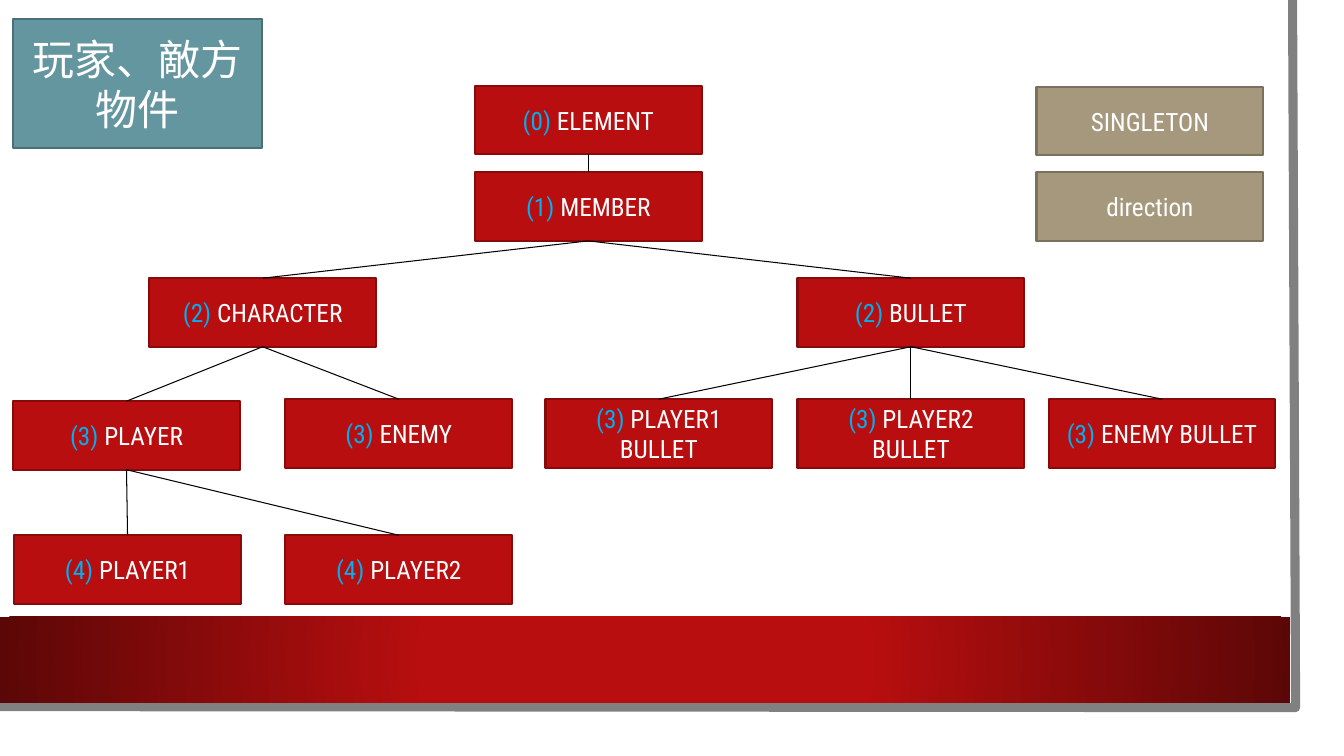
from lxml import etree
from pptx import Presentation
from pptx.dml.color import RGBColor
from pptx.enum.shapes import MSO_CONNECTOR, MSO_SHAPE
from pptx.enum.text import MSO_ANCHOR, MSO_AUTO_SIZE, PP_ALIGN
from pptx.oxml import parse_xml
from pptx.oxml.ns import qn
from pptx.util import Inches, Pt

RECTANGLE = MSO_SHAPE.RECTANGLE
STRAIGHT = MSO_CONNECTOR.STRAIGHT
MIDDLE = MSO_ANCHOR.MIDDLE
CENTER = PP_ALIGN.CENTER
NO_AUTOFIT = MSO_AUTO_SIZE.NONE
TOP_SIDE, BOTTOM_SIDE = 0, 2

FONT = "Roboto Condensed"
WHITE, BLACK, GRAY, BLUE = "FFFFFF", "000000", "808080", "00B0F0"
RED, DARK_RED = "B80E0F", "880A0B"
TAN, DARK_TAN = "A6987D", "7B705C"
TEAL, DARK_TEAL = "64969F", "4A6F76"
BOX_WIDTH, BOX_HEIGHT = 2.25, 0.68

BAND_GRADIENT = """
<a:gradFill xmlns:a="http://schemas.openxmlformats.org/drawingml/2006/main" rotWithShape="1">
  <a:gsLst>
    <a:gs pos="34000"><a:srgbClr val="B80E0F"/></a:gs>
    <a:gs pos="100000"><a:srgbClr val="5C0707"/></a:gs>
  </a:gsLst>
  <a:path path="circle">
    <a:fillToRect l="50000" t="50000" r="50000" b="50000"/>
  </a:path>
</a:gradFill>"""

# Class tree: name -> (level, left, top, parent)
CLASSES = {
    "ELEMENT": (0, 4.71, 0.85, None),
    "MEMBER": (1, 4.71, 1.71, "ELEMENT"),
    "CHARACTER": (2, 1.48, 2.76, "MEMBER"),
    "BULLET": (2, 7.91, 2.76, "MEMBER"),
    "PLAYER": (3, 0.13, 3.98, "CHARACTER"),
    "ENEMY": (3, 2.83, 3.96, "CHARACTER"),
    "PLAYER1 BULLET": (3, 5.41, 3.96, "BULLET"),
    "PLAYER2 BULLET": (3, 7.91, 3.96, "BULLET"),
    "ENEMY BULLET": (3, 10.4, 3.96, "BULLET"),
    "PLAYER1": (4, 0.14, 5.31, "PLAYER"),
    "PLAYER2": (4, 2.83, 5.31, "PLAYER"),
}
# Separate classes: name -> top
SEPARATE_CLASSES = {"SINGLETON": 0.86, "direction": 1.71}


def color(value):
    return RGBColor.from_string(value)


class DiagramPage:
    def __init__(self, deck):
        self.page = deck.slides.add_slide(deck.slide_layouts[5])
        self.shapes = self.page.shapes

    def paint(self, shape, fill, line):
        shape.fill.solid()
        shape.fill.fore_color.rgb = color(fill)
        shape.line.color.rgb = color(line)
        shape.line.width = Pt(1.5)

    def add_text(self, shape, spans, size):
        frame = shape.text_frame
        frame.word_wrap = True
        frame.auto_size = NO_AUTOFIT
        frame.vertical_anchor = MIDDLE
        para = frame.paragraphs[0]
        para.alignment = CENTER
        for text, text_color in spans:
            span = para.add_run()
            span.text = text
            span.font.name = FONT
            span.font.size = Pt(size)
            span.font.color.rgb = color(text_color)

    def title(self, text, left, top, width, height):
        title = self.shapes.title
        title.left, title.top = Inches(left), Inches(top)
        title.width, title.height = Inches(width), Inches(height)
        # Rounded outline for the title placeholder
        outline = etree.SubElement(title.element.spPr, qn("a:prstGeom"), prst="roundRect")
        etree.SubElement(outline, qn("a:avLst"))
        self.paint(title, TEAL, DARK_TEAL)
        self.add_text(title, [(text, WHITE)], 30)

    def frame(self, points):
        start, *others = [(Inches(x), Inches(y)) for x, y in points]
        builder = self.shapes.build_freeform(*start)
        builder.add_line_segments(others, close=False)
        edge = builder.convert_to_shape()
        edge.shadow.inherit = False
        edge.fill.background()
        edge.line.color.rgb = color(GRAY)
        edge.line.width = Pt(6.5)

    def band(self, left, top, width, height):
        band = self.shapes.add_shape(
            RECTANGLE, Inches(left), Inches(top), Inches(width), Inches(height))
        band.shadow.inherit = False
        band.line.fill.background()
        band.element.spPr.find(qn("a:prstGeom")).addnext(parse_xml(BAND_GRADIENT))

    def box(self, left, top, spans, fill, line):
        box = self.shapes.add_shape(
            RECTANGLE, Inches(left), Inches(top), Inches(BOX_WIDTH), Inches(BOX_HEIGHT))
        box.shadow.inherit = False
        self.paint(box, fill, line)
        self.add_text(box, spans, 18)
        return box

    def link(self, parent, child):
        link = self.shapes.add_connector(STRAIGHT, 0, 0, 0, 0)
        link.begin_connect(parent, BOTTOM_SIDE)
        link.end_connect(child, TOP_SIDE)
        link.line.color.rgb = color(BLACK)
        link.line.width = Pt(0.75)
        etree.SubElement(link.element.spPr, qn("a:effectLst"))


def main():
    deck = Presentation()
    deck.slide_width, deck.slide_height = Inches(13.33), Inches(7.5)
    diagram = DiagramPage(deck)

    # Background frame and band
    diagram.frame([(12.82, 0), (12.85, 7.02), (-0.03, 7.01)])
    diagram.band(0, 6.12, 12.8, 0.85)

    # Title
    diagram.title("玩家、敵方物件", 0.13, 0.19, 2.47, 1.28)

    # Class tree
    boxes = {}
    for name, (level, left, top, parent) in CLASSES.items():
        spans = [(f"({level}) ", BLUE), (name, WHITE)]
        boxes[name] = diagram.box(left, top, spans, RED, DARK_RED)
        if parent:
            diagram.link(boxes[parent], boxes[name])

    # Separate classes
    for name, top in SEPARATE_CLASSES.items():
        diagram.box(10.28, top, [(name, WHITE)], TAN, DARK_TAN)

    deck.save("out.pptx")


if __name__ == "__main__":
    main()
